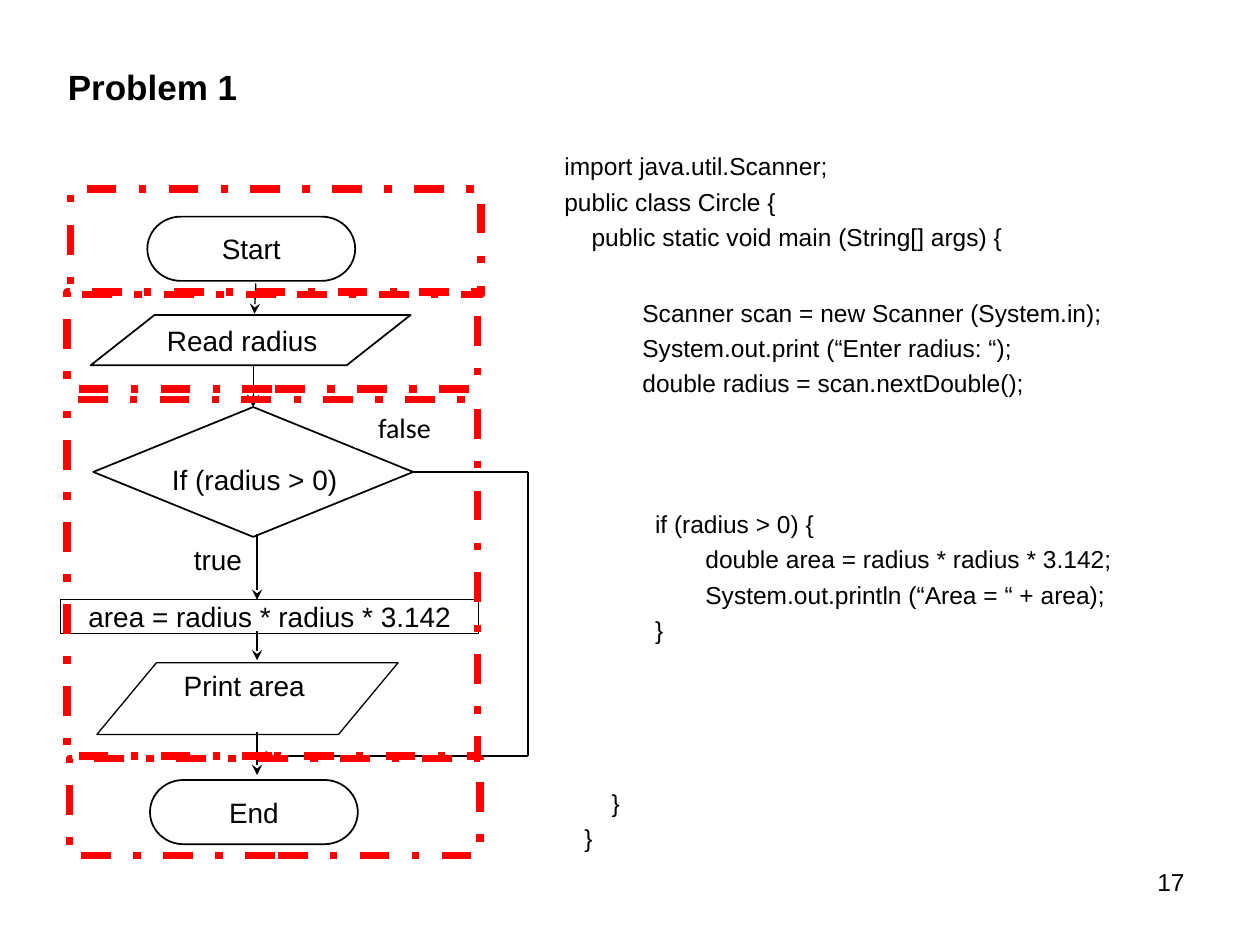
from lxml.etree import SubElement
from pptx import Presentation
from pptx.dml.color import RGBColor
from pptx.enum.dml import MSO_LINE
from pptx.enum.shapes import MSO_CONNECTOR, MSO_SHAPE
from pptx.enum.text import MSO_ANCHOR, PP_ALIGN
from pptx.oxml.ns import qn
from pptx.util import Pt

BLACK, WHITE, RED = "000000", "FFFFFF", "FF0000"
INSET = (7.2, 3.6, 7.2, 3.6)
TIGHT = (0.7, 0.7, 0.7, 0.7)


def color(value):
    return RGBColor.from_string(value)


class Deck:
    font = "Arial"
    code_size = 14
    label_size = 16
    code_gap = 3.3
    code_indent = 28.8

    def __init__(self, prs):
        self.slide = prs.slides.add_slide(prs.slide_layouts[6])

    def run(self, p, text, size, font=None, bold=False):
        r = p.add_run()
        r.text = text
        r.font.size = Pt(size)
        r.font.name = font or self.font
        r.font.bold = bold
        r.font.color.rgb = color(BLACK)

    def frame(self, sp, anchor, inset=INSET):
        tf = sp.text_frame
        tf.word_wrap = True
        tf.vertical_anchor = anchor
        tf.margin_left, tf.margin_top, tf.margin_right, tf.margin_bottom = map(Pt, inset)
        return tf

    def text(self, box, text, size, align=PP_ALIGN.LEFT, anchor=MSO_ANCHOR.TOP, bold=False):
        sp = self.slide.shapes.add_textbox(*map(Pt, box))
        p = self.frame(sp, anchor).paragraphs[0]
        p.alignment = align
        self.run(p, text, size, bold=bold)

    def code(self, box, lines, indented=()):
        sp = self.slide.shapes.add_textbox(*map(Pt, box))
        tf = self.frame(sp, MSO_ANCHOR.TOP)
        for i, line in enumerate(lines):
            p = tf.add_paragraph() if i else tf.paragraphs[0]
            if i:
                p.space_before = Pt(self.code_gap)
            if i in indented:
                p._p.get_or_add_pPr().set("marL", str(Pt(self.code_indent)))
            self.run(p, line, self.code_size)

    def shape(self, kind, box, text="", fill=None, line=BLACK, width=1.0, dash=None,
              align=PP_ALIGN.CENTER, inset=INSET, font=None):
        sp = self.slide.shapes.add_shape(kind, *map(Pt, box))
        sp.shadow.inherit = False
        if fill:
            sp.fill.solid()
            sp.fill.fore_color.rgb = color(fill)
        else:
            sp.fill.background()
        sp.line.color.rgb = color(line)
        sp.line.width = Pt(width)
        if dash:
            sp.line.dash_style = dash
        if text:
            p = self.frame(sp, MSO_ANCHOR.MIDDLE, inset).paragraphs[0]
            p.alignment = align
            self.run(p, text, self.label_size, font)
        return sp

    def label(self, box, text, line=WHITE, font=None):
        self.shape(MSO_SHAPE.RECTANGLE, box, text, WHITE, line, 0.75, inset=TIGHT, font=font)

    def region(self, box):
        self.shape(MSO_SHAPE.RECTANGLE, box, line=RED, width=4.25, dash=MSO_LINE.DASH_DOT)

    def line(self, x1, y1, x2, y2, head=None):
        cn = self.slide.shapes.add_connector(
            MSO_CONNECTOR.STRAIGHT, Pt(x1), Pt(y1), Pt(x2), Pt(y2))
        cn.line.color.rgb = color(BLACK)
        cn.line.width = Pt(0.75)
        if head:
            SubElement(cn.line._get_or_add_ln(), qn("a:tailEnd"), type=head)
        SubElement(cn._element.spPr, qn("a:effectLst"))
        return cn


def main():
    prs = Presentation()
    prs.slide_width, prs.slide_height = Pt(720), Pt(540)
    deck = Deck(prs)

    # Title and page number
    deck.text((31.7, 28.1, 236.9, 36.7), "Problem 1", 20, anchor=MSO_ANCHOR.BOTTOM, bold=True)
    deck.text((516.2, 491.8, 167.8, 37.4), "17", 14, align=PP_ALIGN.RIGHT)

    # Flowchart: start, input and decision
    to_decision = deck.line(144.7, 208.8, 144.7, 232.6, "arrow")
    decision = deck.shape(MSO_SHAPE.FLOWCHART_DECISION, (53.3, 232.6, 182.8, 74.2))
    to_decision.end_connect(decision, 0)
    deck.shape(MSO_SHAPE.FLOWCHART_TERMINATOR, (84.2, 123.8, 118.8, 36.7), "Start")
    deck.label((95.8, 263.5, 99.4, 20.2), "If (radius > 0)")
    deck.label((108.7, 310.3, 31.7, 18.7), "true")
    deck.label((34.6, 342.7, 239, 19.4), "area = radius * radius * 3.142", line=BLACK)
    deck.label((203, 232.6, 56.2, 23), "false", font="Calibri")

    # Flowchart: output and end
    output = deck.shape(MSO_SHAPE.PARALLELOGRAM, (55.4, 378.7, 172.1, 41), fill=WHITE, width=0.75)
    output.adjustments[0] = 0.83
    deck.text((97.9, 378.7, 115.9, 44.6), "Print area", 16)
    for top, bottom in ((305.3, 342.7), (360.7, 377.3), (418.3, 442.8)):
        deck.line(146.9, top, 146.9, bottom, "stealth")

    # Bypass for the false branch
    bypass_x, bypass_top, bypass_bottom = 301.7, 269.7, 432
    deck.line(bypass_x, bypass_top, 236.1, bypass_top).end_connect(decision, 3)
    deck.line(bypass_x, bypass_top, bypass_x, bypass_bottom)
    deck.line(bypass_x, bypass_bottom, 146.9, bypass_bottom, "stealth")

    deck.shape(MSO_SHAPE.FLOWCHART_DATA, (51.8, 180, 182.9, 28.8), "Read radius",
               align=PP_ALIGN.LEFT)
    deck.line(146.2, 162, 145.4, 179.3, "stealth")
    deck.shape(MSO_SHAPE.FLOWCHART_TERMINATOR, (85.7, 445.7, 118.8, 36.7), "End")

    # Code matching each part of the flowchart
    deck.code((315.4, 83, 368.6, 88.6), [
        "import java.util.Scanner;",
        "public class Circle {",
        "    public static void main (String[] args) {",
    ])
    deck.code((360, 166.5, 368.6, 69.8), [
        "Scanner scan = new Scanner (System.in);",
        "System.out.print (“Enter radius: “);",
        "double radius = scan.nextDouble();",
    ])
    deck.code((367.2, 287.5, 368.6, 108), [
        "if (radius > 0) {",
        "double area = radius * radius * 3.142;",
        "System.out.println (“Area = “ + area);",
        "}",
    ], indented=(1, 2))
    deck.code((326.9, 446.7, 368.6, 60.5), ["    }", "}"])

    # Dashed regions around the flowchart parts
    for left, top, height in ((40.3, 108, 60.5), (38.2, 167, 55.4),
                              (38.2, 228.2, 203.8), (39.6, 433.4, 55.4)):
        deck.region((left, top, 234.7, height))

    prs.save("out.pptx")


if __name__ == "__main__":
    main()
